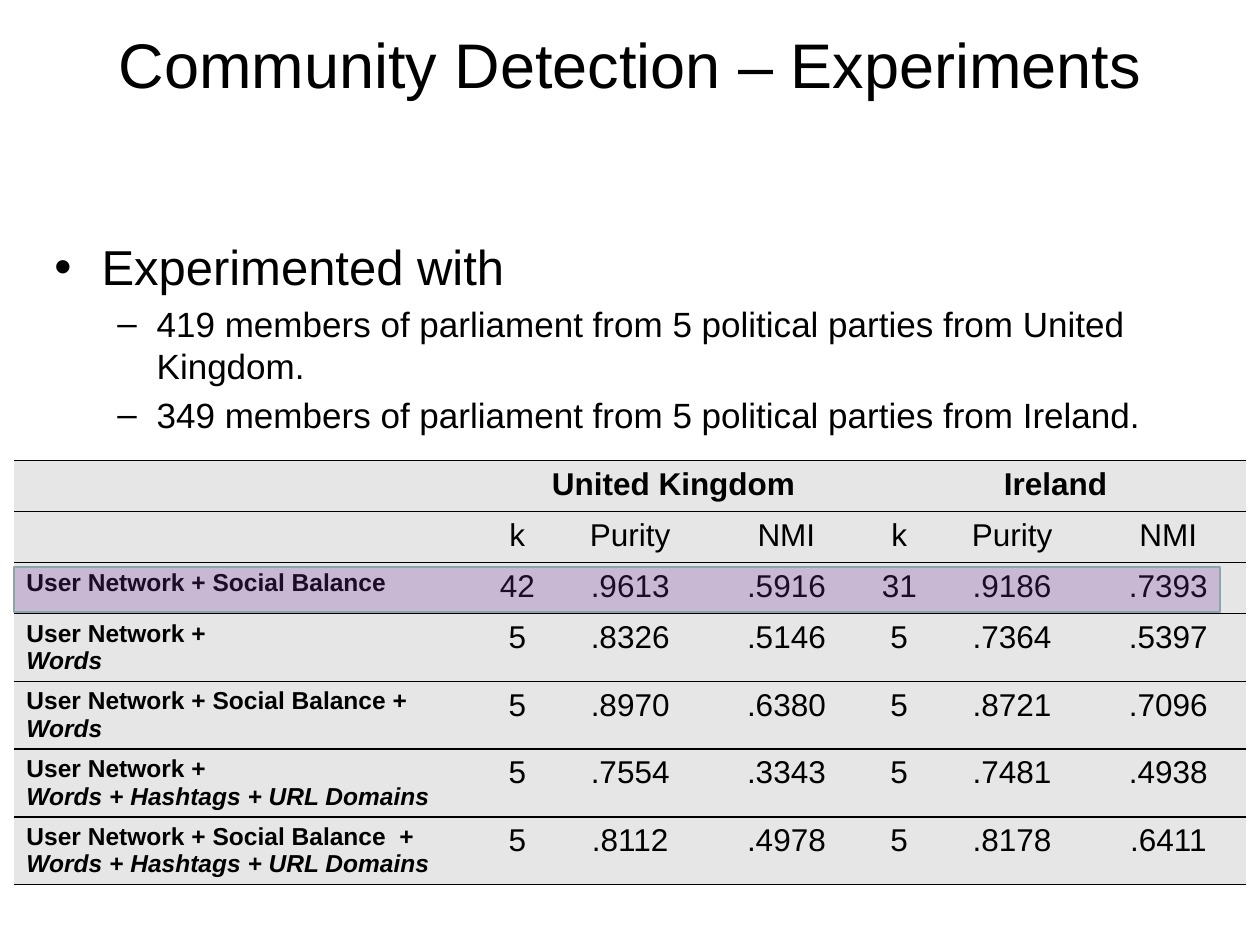
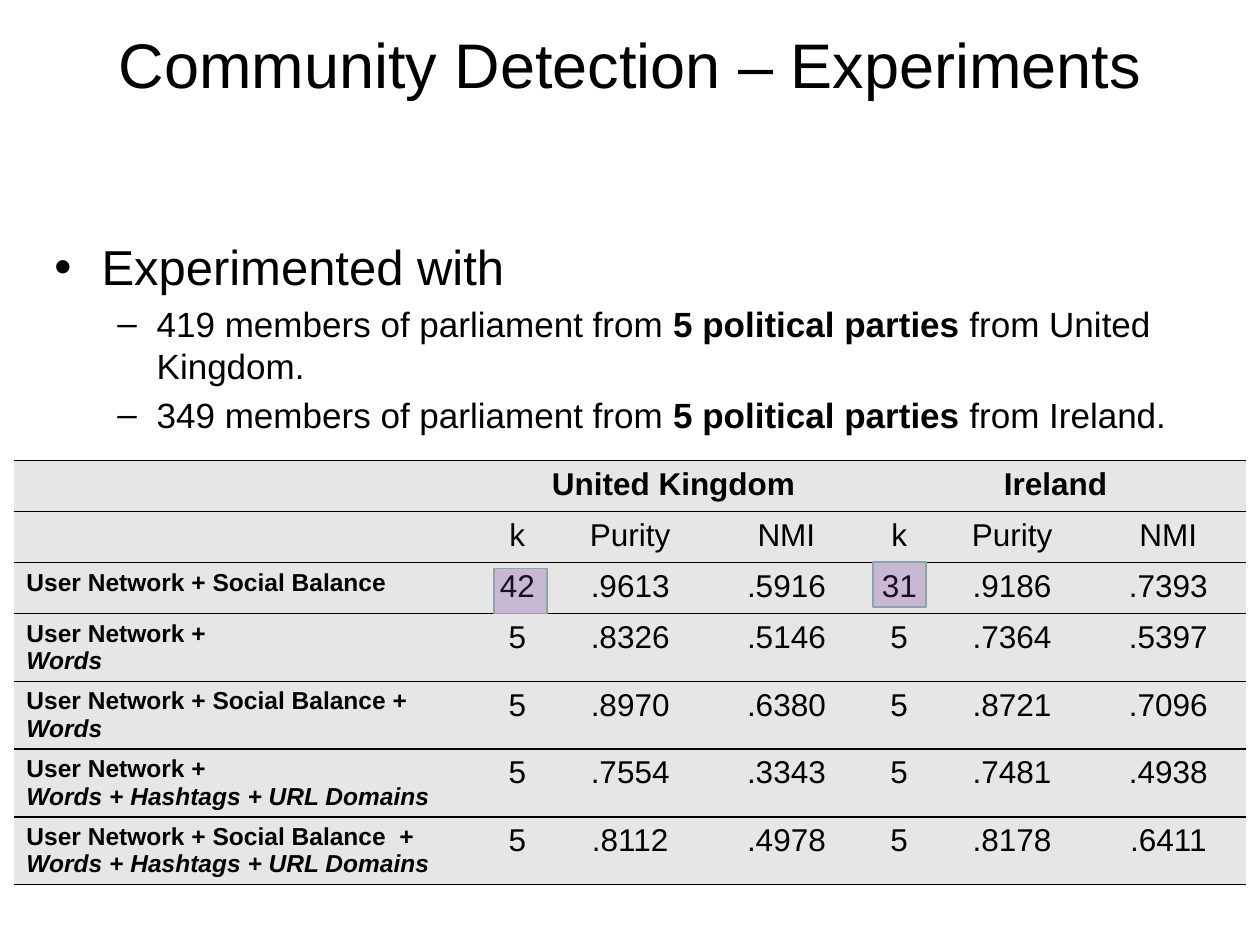
import pptx
import pptx.util
import pptx.dml.color
import pptx.enum.shapes
import pptx.enum.text
import pptx.oxml
import pptx.oxml.ns

Cm = pptx.util.Cm
Pt = pptx.util.Pt
RGBColor = pptx.dml.color.RGBColor
Align = pptx.enum.text.PP_ALIGN

# Shared look
FONT = "Arial"
BLACK = RGBColor(0x00, 0x00, 0x00)
GREY = RGBColor(0xE6, 0xE6, 0xE6)
PURPLE = RGBColor(0x70, 0x30, 0xA0)
TEAL = RGBColor(0x8A, 0xA6, 0xA8)

# Shared content
TITLE = "Community Detection – Experiments"
PARTIES = "5 political parties "
GROUPS = [("419", "United Kingdom"), ("349", "Ireland")]
HEADS = ["k", "Purity", "NMI"]
WIDTHS = [9.45] + [1.4, 3.15, 3.15] * 2
ROW = 1.03

# Each label is a list of paragraphs; each paragraph is (plain, italic)
WORDS = "Words"
ALL = "Words + Hashtags + URL Domains"
RESULTS = [
    ([("User Network + Social Balance", "")],
     "42 .9613 .5916 31 .9186 .7393"),
    ([("User Network +", ""), ("", WORDS)],
     "5 .8326 .5146 5 .7364 .5397"),
    ([("User Network + Social Balance +", ""), ("", WORDS)],
     "5 .8970 .6380 5 .8721 .7096"),
    ([("User Network +", ""), ("", ALL)],
     "5 .7554 .3343 5 .7481 .4938"),
    ([("User Network + Social Balance  + ", ALL)],
     "5 .8112 .4978 5 .8178 .6411"),
]


def place(shape, left, top, width, height):
    shape.left, shape.top = Cm(left), Cm(top)
    shape.width, shape.height = Cm(width), Cm(height)


def style(run, size, bold=False, italic=False):
    font = run.font
    font.name, font.size = FONT, Pt(size)
    font.bold, font.italic = bold, italic
    font.color.rgb = BLACK


def add_run(para, text, size, bold=False, italic=False):
    if text:
        run = para.add_run()
        run.text = text
        style(run, size, bold, italic)


def add_title(slide):
    title = slide.shapes.title
    place(title, 1.27, 0, 22.86, 2.54)
    frame = title.text_frame
    frame.text = TITLE
    frame.auto_size = pptx.enum.text.MSO_AUTO_SIZE.NONE
    frame.vertical_anchor = pptx.enum.text.MSO_ANCHOR.MIDDLE
    frame.paragraphs[0].alignment = Align.CENTER
    style(frame.paragraphs[0].runs[0], 36)


def add_list(slide, strong):
    body = slide.placeholders[1]
    place(body, 0.84, 4.65, 24.56, 4.45)
    frame = body.text_frame
    frame.text = "Experimented with"
    frame.auto_size = pptx.enum.text.MSO_AUTO_SIZE.NONE
    style(frame.paragraphs[0].runs[0], 28)
    for count, land in GROUPS:
        para = frame.add_paragraph()
        para.level = 1
        add_run(para, f"{count} members of parliament from ", 20)
        add_run(para, PARTIES, 20, bold=strong)
        add_run(para, f"from {land}.", 20)


def rule_cell(cell):
    """Grey fill, black rules above and below, none at the sides."""
    cell.fill.solid()
    cell.fill.fore_color.rgb = GREY
    props = cell._tc.get_or_add_tcPr()
    line = f'<a:solidFill><a:srgbClr val="{BLACK}"/></a:solidFill>'
    for spot, side in enumerate("LRTB"):
        paint = line if side in "TB" else "<a:noFill/>"
        xml = (f'<a:ln{side} {pptx.oxml.ns.nsdecls("a")} w="{Pt(1)}">'
               f"{paint}</a:ln{side}>")
        props.insert(spot, pptx.oxml.parse_xml(xml))


def fill_cell(cell, text, bold=False):
    cell.text_frame.text = text
    para = cell.text_frame.paragraphs[0]
    para.alignment = Align.CENTER
    style(para.runs[0], 18, bold)


def fill_label(cell, label):
    frame = cell.text_frame
    for i, (plain, slant) in enumerate(label):
        para = frame.add_paragraph() if i else frame.paragraphs[0]
        add_run(para, plain, 14, bold=True)
        add_run(para, slant, 14, bold=True, italic=True)


def add_grid(slide):
    rows = len(RESULTS) + 2
    frame = slide.shapes.add_table(rows, len(WIDTHS), Cm(0.28), Cm(9.28),
                                   Cm(sum(WIDTHS)), Cm(rows * ROW))
    table = frame.table
    table.first_row = table.horz_banding = False
    for col, width in zip(table.columns, WIDTHS):
        col.width = Cm(width)
    for row in table.rows:
        row.height = Cm(ROW)
        for cell in row.cells:
            rule_cell(cell)

    # Two header rows
    for i, (_, land) in enumerate(GROUPS):
        first = 1 + i * len(HEADS)
        head = table.cell(0, first)
        head.merge(table.cell(0, first + len(HEADS) - 1))
        fill_cell(head, land, bold=True)
        for j, name in enumerate(HEADS):
            fill_cell(table.cell(1, first + j), name)

    # Result rows
    for r, (label, values) in enumerate(RESULTS, 2):
        fill_label(table.cell(r, 0), label)
        for c, value in enumerate(values.split(), 1):
            fill_cell(table.cell(r, c), value)


def add_mark(slide, left, top, width):
    """See-through box that stresses part of the table."""
    mark = slide.shapes.add_shape(pptx.enum.shapes.MSO_SHAPE.RECTANGLE,
                                  Cm(left), Cm(top), Cm(width), Cm(0.91))
    mark.shadow.inherit = False
    mark.fill.solid()
    mark.fill.fore_color.rgb = PURPLE
    tint = mark._element.spPr.find(".//" + pptx.oxml.ns.qn("a:srgbClr"))
    alpha = f'<a:alpha {pptx.oxml.ns.nsdecls("a")} val="25000"/>'
    tint.append(pptx.oxml.parse_xml(alpha))
    mark.line.color.rgb = TEAL
    mark.line.width = Pt(1)


def add_page(deck, marks, strong=False):
    slide = deck.slides.add_slide(deck.slide_layouts[1])
    add_title(slide)
    add_list(slide, strong)
    add_grid(slide)
    for mark in marks:
        add_mark(slide, *mark)


def main():
    deck = pptx.Presentation()
    deck.slide_width, deck.slide_height = Cm(25.4), Cm(19.05)
    # Whole first result row, then only its two k values
    add_page(deck, [(0.28, 11.43, 24.31)])
    add_page(deck, [(9.96, 11.46, 1.07), (17.6, 11.33, 1.07)], strong=True)
    deck.save("out.pptx")


if __name__ == "__main__":
    main()
